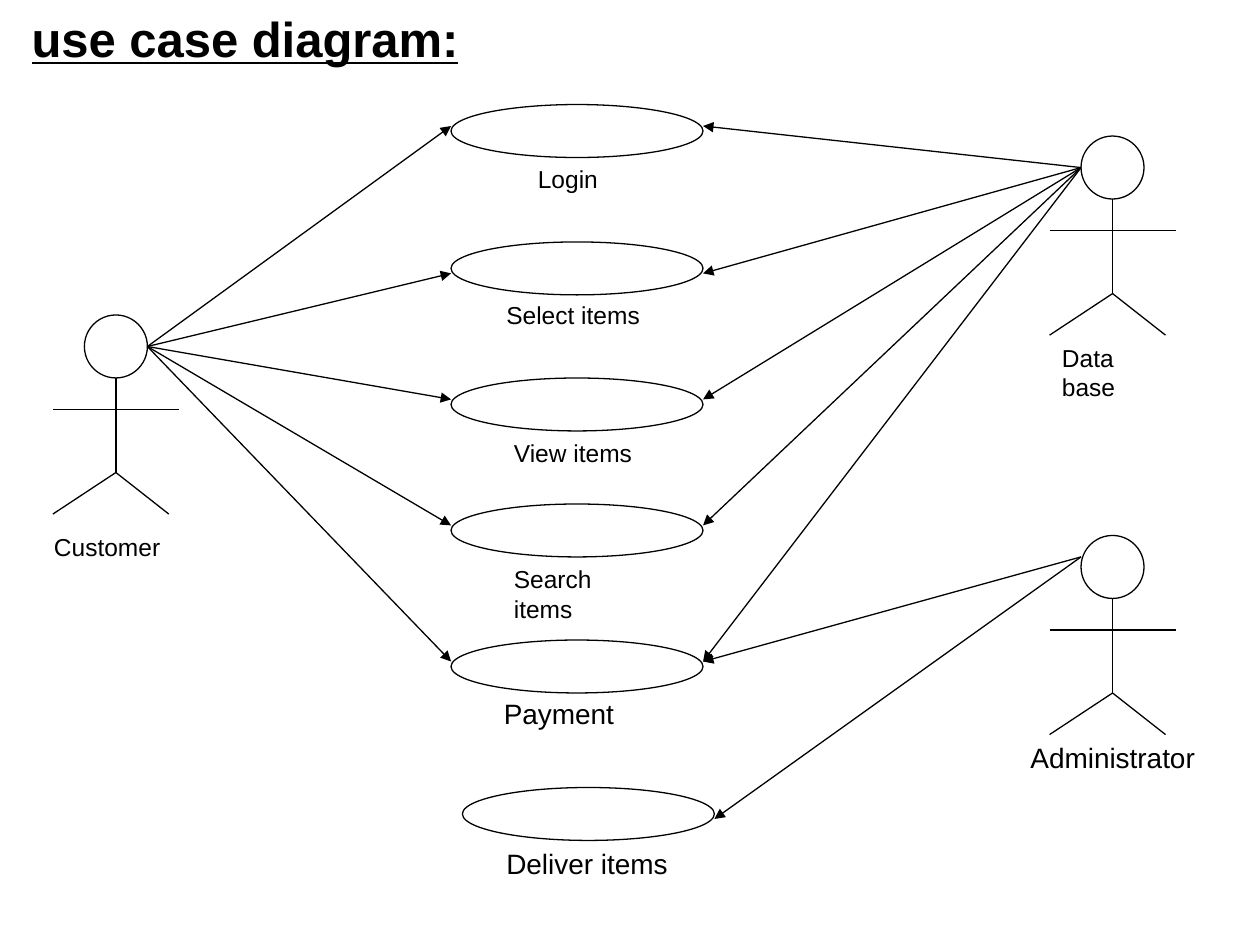
from dataclasses import dataclass

from lxml.etree import SubElement
from pptx import Presentation
from pptx.dml.color import RGBColor
from pptx.enum.shapes import MSO_CONNECTOR as Conn, MSO_SHAPE as Shape
from pptx.enum.text import MSO_ANCHOR as Anchor, MSO_AUTO_SIZE as AutoSize, PP_ALIGN as Align
from pptx.oxml.ns import qn
from pptx.slide import Slide
from pptx.text.text import TextFrame
from pptx.util import Inches, Pt


@dataclass(frozen=True)
class Theme:
    """Colours, type sizes and line width of the slide."""
    ink: RGBColor = RGBColor(0, 0, 0)
    paper: RGBColor = RGBColor(255, 255, 255)
    font: str = "Arial"
    title: int = 28
    large: int = 16
    small: int = 14
    line: float = 0.75


@dataclass(frozen=True)
class Label:
    """Caption with its box and type size."""
    text: str
    left: float
    top: float
    width: float
    size: int
    wrap: bool = False


@dataclass(frozen=True)
class UseCase:
    """Oval with its caption and the height where arrows arrive."""
    left: float
    top: float
    port: float
    label: Label


@dataclass(frozen=True)
class Actor:
    """Stick figure placed by the left and top of its head."""
    left: float
    top: float
    port: float
    faces_right: bool
    targets: tuple[int, ...]
    label: Label


THEME = Theme()
OVAL_W, OVAL_H, HEAD = 2, 0.42, 0.5
USE_CASES = (
    UseCase(3.58, 0.83, 1, Label("Login", 4.17, 1.25, 0.68, THEME.small)),
    UseCase(3.58, 1.92, 2.17, Label("Select items", 3.92, 2.33, 1.26, THEME.small)),
    UseCase(3.58, 3, 3.17, Label("View items", 3.98, 3.43, 1.14, THEME.small)),
    UseCase(3.58, 4, 4.17, Label("Search items", 3.98, 4.43, 1.2, THEME.small, True)),
    UseCase(3.58, 5.08, 5.25, Label("Payment", 3.9, 5.48, 1.08, THEME.large)),
    UseCase(3.67, 6.25, 6.5, Label("Deliver items", 3.92, 6.67, 2.67, THEME.large, True)),
)
ACTORS = (
    Actor(0.67, 2.5, 2.75, True, (0, 1, 2, 3, 4),
          Label("Customer", 0.33, 4.17, 1.04, THEME.small)),
    Actor(8.58, 1.08, 1.33, False, (0, 1, 2, 3, 4),
          Label("Data base", 8.33, 2.67, 0.95, THEME.small, True)),
    Actor(8.58, 4.25, 4.42, False, (4, 5),
          Label("Administrator", 8.08, 5.83, 1.51, THEME.large)),
)


def write(tf: TextFrame, text: str, *, size: int, bold: bool = False,
          underline: bool = False, wrap: bool = False) -> None:
    """Fill a text frame with one formatted left-aligned line."""
    tf.auto_size = AutoSize.NONE
    tf.word_wrap = wrap
    tf.vertical_anchor = Anchor.TOP
    p = tf.paragraphs[0]
    p.alignment = Align.LEFT
    r = p.add_run()
    r.text = text
    r.font.name = THEME.font
    r.font.size = Pt(size)
    r.font.bold = bold
    r.font.underline = underline
    r.font.color.rgb = THEME.ink


def add_label(s: Slide, label: Label) -> None:
    """Add a caption."""
    height = 0.37 if label.size == THEME.large else 0.33
    sp = s.shapes.add_textbox(Inches(label.left), Inches(label.top),
                              Inches(label.width), Inches(height))
    write(sp.text_frame, label.text, size=label.size, wrap=label.wrap)


def add_oval(s: Slide, left: float, top: float, width: float, height: float) -> None:
    """Add an outlined oval."""
    sp = s.shapes.add_shape(Shape.OVAL, Inches(left), Inches(top), Inches(width), Inches(height))
    sp.shadow.inherit = False
    sp.fill.solid()
    sp.fill.fore_color.rgb = THEME.paper
    sp.line.color.rgb = THEME.ink
    sp.line.width = Pt(THEME.line)


def add_line(s: Slide, x1: float, y1: float, x2: float, y2: float, arrow: bool = False) -> None:
    """Add a straight line, with an arrowhead at its end if asked."""
    cxn = s.shapes.add_connector(Conn.STRAIGHT, Inches(x1), Inches(y1), Inches(x2), Inches(y2))
    cxn.line.color.rgb = THEME.ink
    cxn.line.width = Pt(THEME.line)
    if arrow:
        SubElement(cxn.line._get_or_add_ln(), qn("a:tailEnd"), type="triangle")
    SubElement(cxn._element.spPr, qn("a:effectLst"))


def add_actor(s: Slide, actor: Actor) -> None:
    """Draw a stick figure with its caption."""
    x, y = actor.left + HEAD / 2, actor.top
    neck, arms, hip, feet = y + HEAD, y + 0.75, y + 1.25, y + 1.58
    add_oval(s, actor.left, y, HEAD, HEAD)
    add_line(s, x, neck, x, hip)
    add_line(s, x, hip, x - 0.5, feet)
    add_line(s, x, hip, x + 0.42, feet)
    add_line(s, x - 0.5, arms, x + 0.5, arms)
    add_label(s, actor.label)


def add_arrows(s: Slide, actor: Actor) -> None:
    """Link an actor to each of its use cases."""
    start = actor.left + (HEAD if actor.faces_right else 0)
    for case in (USE_CASES[i] for i in actor.targets):
        end = case.left + (0 if actor.faces_right else OVAL_W)
        add_line(s, start, actor.port, end, case.port, arrow=True)


def main() -> None:
    """Build the use case slide and save it."""
    prs = Presentation()
    prs.slide_width, prs.slide_height = Inches(10), Inches(7.5)
    s = prs.slides.add_slide(prs.slide_layouts[5])
    title = s.shapes.title
    title.left, title.top = Inches(0.15), Inches(0.02)
    title.width, title.height = Inches(3.6), Inches(0.57)
    write(title.text_frame, "use case diagram:", size=THEME.title, bold=True, underline=True)
    for case in USE_CASES:
        add_oval(s, case.left, case.top, OVAL_W, OVAL_H)
        add_label(s, case.label)
    for actor in ACTORS:
        add_actor(s, actor)
        add_arrows(s, actor)
    prs.save("out.pptx")


if __name__ == "__main__":
    main()
